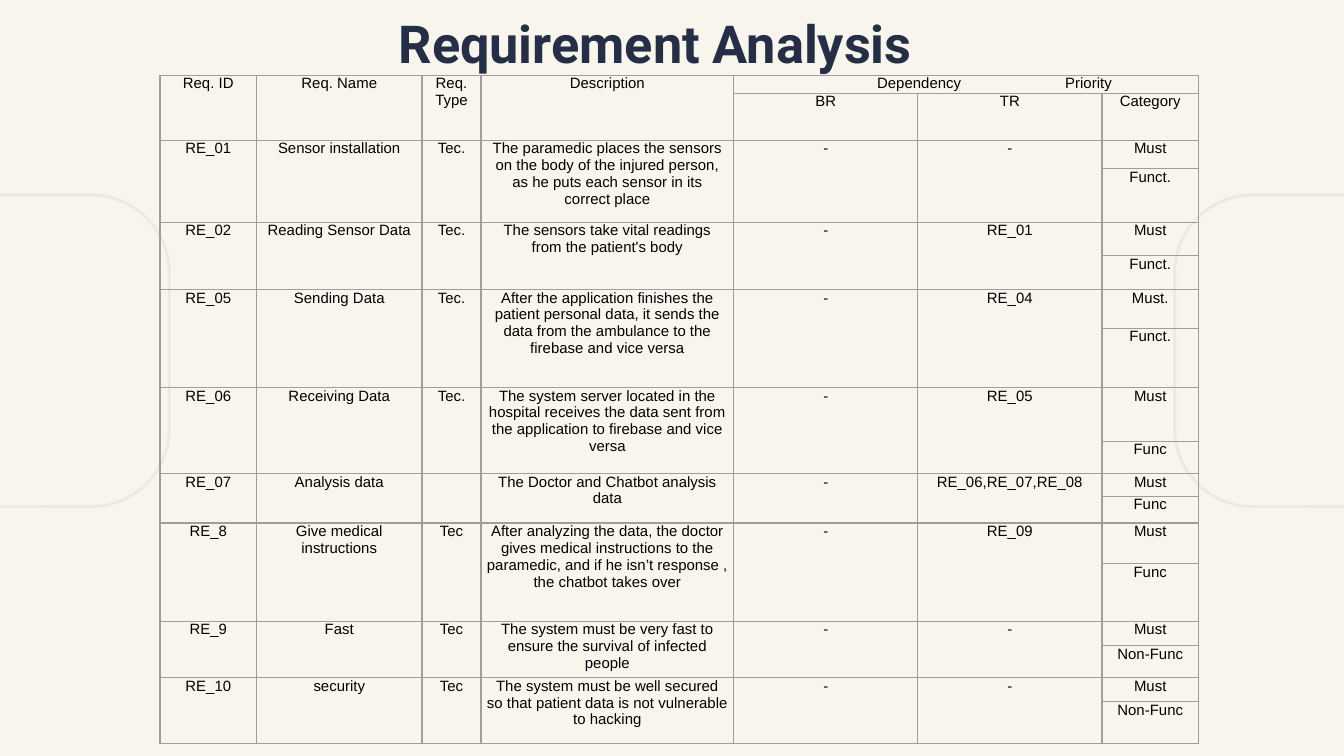
from dataclasses import dataclass

from lxml.etree import SubElement
from pptx import Presentation
from pptx.dml.color import RGBColor
from pptx.enum.shapes import MSO_SHAPE as Shape
from pptx.enum.text import MSO_ANCHOR as Anchor, PP_ALIGN as Align
from pptx.oxml import parse_xml
from pptx.oxml.ns import nsdecls, qn
from pptx.slide import Slide
from pptx.table import Table, _Cell as Cell
from pptx.util import Inches, Pt

COLORS = {
    "background": "F8F5EC",
    "frame": "ECE9E1",
    "title": "252E47",
    "text": "000000",
    "border": "9E9E9E",
}
SLIDE_WIDTH = 10
SLIDE_HEIGHT = SLIDE_WIDTH * 9 / 16
COLUMN_WIDTHS = [0.72, 1.23, 0.44, 1.88, 1.37, 1.37, 0.72]
HEADER_HEIGHTS = (0.13, 0.35)
HEADINGS = ["Req. ID", "Req. Name", "Req. Type", "Description"]
SUBHEADINGS = ["BR", "TR", "Category"]
DESCRIPTION_COLUMN, BUSINESS_COLUMN, CATEGORY_COLUMN = 3, 4, 6
GROUP_TAB_STOPS = [1.34, 2.6]
TEXT_SIZE = 8
CELL_MARGIN, WIDE_MARGIN = 0.04, 0.06


@dataclass(frozen=True)
class Requirement:
    code: str
    name: str
    kind: str
    description: str
    business: str
    technical: str
    priority: str
    category: str
    heights: tuple[float, float]
    description_margin: float = CELL_MARGIN


REQUIREMENTS = [
    Requirement("RE_01", "Sensor installation", "Tec.",
                "The paramedic places the sensors on the body of the injured person, "
                "as he puts each sensor in its correct place",
                "-", "-", "Must", "Funct.", (0.21, 0.4), WIDE_MARGIN),
    Requirement("RE_02", "Reading Sensor Data", "Tec.",
                "The sensors take vital readings from the patient's body",
                "-", "RE_01", "Must", "Funct.", (0.25, 0.25), WIDE_MARGIN),
    Requirement("RE_05", "Sending Data", "Tec.",
                "After the application finishes the patient personal data, it sends "
                "the data from the ambulance to the firebase and vice versa",
                "-", "RE_04", "Must.", "Funct.", (0.29, 0.44)),
    Requirement("RE_06", "Receiving Data", "Tec.",
                "The system server located in the hospital receives the data sent "
                "from the application to firebase and vice versa",
                "-", "RE_05", "Must", "Func", (0.4, 0.24)),
    Requirement("RE_07", "Analysis data", "",
                "The Doctor and Chatbot analysis data",
                "-", "RE_06,RE_07,RE_08", "Must", "Func", (0.17, 0.2)),
    Requirement("RE_8", "Give medical instructions", "Tec",
                "After analyzing the data, the doctor gives medical instructions to "
                "the paramedic, and if he isn’t response , the chatbot takes over",
                "-", "RE_09", "Must", "Func", (0.3, 0.43)),
    Requirement("RE_9", "Fast", "Tec",
                "The system must be very fast to ensure the survival of infected people",
                "-", "-", "Must", "Non-Func", (0.18, 0.24)),
    Requirement("RE_10", "security", "Tec",
                "The system must be well secured so that patient data is not "
                "vulnerable to hacking",
                "-", "-", "Must", "Non-Func", (0.18, 0.31)),
]


def rgb(name: str) -> RGBColor:
    return RGBColor.from_string(COLORS[name])


def add_frame(slide: Slide, left: float) -> None:
    frame = slide.shapes.add_shape(
        Shape.ROUNDED_RECTANGLE, Inches(left), Inches(1.45), Inches(1.94), Inches(2.32))
    frame.adjustments[0] = 0.3
    frame.shadow.inherit = False
    frame.fill.background()
    frame.line.color.rgb = rgb("frame")
    frame.line.width = Pt(1.5)


def add_title(slide: Slide, text: str) -> None:
    title = slide.shapes.add_textbox(Inches(0.66), 0, Inches(8.43), Inches(0.63))
    text_frame = title.text_frame
    text_frame.word_wrap = True
    text_frame.vertical_anchor = Anchor.MIDDLE
    text_frame.margin_top = text_frame.margin_bottom = Inches(0.1)
    text_frame.text = text
    paragraph = text_frame.paragraphs[0]
    paragraph.alignment = Align.CENTER
    font = paragraph.runs[0].font
    font.name, font.size, font.bold = "Roboto", Pt(28), True
    font.color.rgb = rgb("title")


def set_side_margins(cell: Cell, margin: float) -> None:
    cell.margin_left = cell.margin_right = Inches(margin)


def style_cell(cell: Cell) -> None:
    """Give a cell its margins and borders, and keep an empty one from growing its row."""
    set_side_margins(cell, CELL_MARGIN)
    cell.margin_top = cell.margin_bottom = 0
    cell.fill.background()
    properties = cell._tc.get_or_add_tcPr()
    for index, side in enumerate("LRTB"):
        properties.insert(index, parse_xml(
            f'<a:ln{side} {nsdecls("a")} w="{Pt(0.75)}"><a:solidFill>'
            f'<a:srgbClr val="{COLORS["border"]}"/></a:solidFill></a:ln{side}>'))
    paragraph = cell.text_frame.paragraphs[0]
    SubElement(paragraph._p, qn("a:endParaRPr"), sz=str(TEXT_SIZE * 100))


def write_cell(cell: Cell, text: str, align: Align = Align.CENTER) -> None:
    if not text:
        return
    paragraph = cell.text_frame.paragraphs[0]
    paragraph.text = text
    paragraph.alignment = align
    for run in paragraph.runs:
        run.font.name, run.font.size = "Arial", Pt(TEXT_SIZE)
        run.font.color.rgb = rgb("text")


def write_tall_cells(table: Table, row: int, texts: list[str]) -> None:
    """Write cells that each span two rows, from the first column on."""
    for column, text in enumerate(texts):
        cell = table.cell(row, column)
        cell.merge(table.cell(row + 1, column))
        write_cell(cell, text)


def write_header(table: Table) -> None:
    write_tall_cells(table, 0, HEADINGS)
    group = table.cell(0, BUSINESS_COLUMN)
    group.merge(table.cell(0, CATEGORY_COLUMN))
    properties = group.text_frame.paragraphs[0]._p.get_or_add_pPr()
    tabs = SubElement(properties, qn("a:tabLst"))
    for position in GROUP_TAB_STOPS:
        SubElement(tabs, qn("a:tab"), pos=str(Inches(position)), algn="ctr")
    write_cell(group, "\tDependency\tPriority", Align.LEFT)
    for column, text in enumerate(SUBHEADINGS, BUSINESS_COLUMN):
        write_cell(table.cell(1, column), text)


def write_requirement(table: Table, row: int, item: Requirement) -> None:
    write_tall_cells(table, row, [item.code, item.name, item.kind, item.description,
                                  item.business, item.technical])
    set_side_margins(table.cell(row, DESCRIPTION_COLUMN), item.description_margin)
    write_cell(table.cell(row, CATEGORY_COLUMN), item.priority)
    write_cell(table.cell(row + 1, CATEGORY_COLUMN), item.category)


def add_requirements_table(slide: Slide) -> None:
    heights = [*HEADER_HEIGHTS, *(height for item in REQUIREMENTS for height in item.heights)]
    table = slide.shapes.add_table(
        len(heights), len(COLUMN_WIDTHS), Inches(1.19), Inches(0.56),
        Inches(sum(COLUMN_WIDTHS)), Inches(sum(heights))).table
    table.first_row = table.horz_banding = False
    for column, width in zip(table.columns, COLUMN_WIDTHS):
        column.width = Inches(width)
    for row, height in zip(table.rows, heights):
        row.height = Inches(height)
    for cell in table.iter_cells():
        style_cell(cell)
    write_header(table)
    for index, item in enumerate(REQUIREMENTS, 1):
        write_requirement(table, 2 * index, item)


def main() -> None:
    presentation = Presentation()
    presentation.slide_width = Inches(SLIDE_WIDTH)
    presentation.slide_height = Inches(SLIDE_HEIGHT)
    slide = presentation.slides.add_slide(presentation.slide_layouts[6])
    slide.background.fill.solid()
    slide.background.fill.fore_color.rgb = rgb("background")
    for left in (-0.68, 8.74):
        add_frame(slide, left)
    add_title(slide, "Requirement Analysis")
    add_requirements_table(slide)
    presentation.save("out.pptx")


if __name__ == "__main__":
    main()
